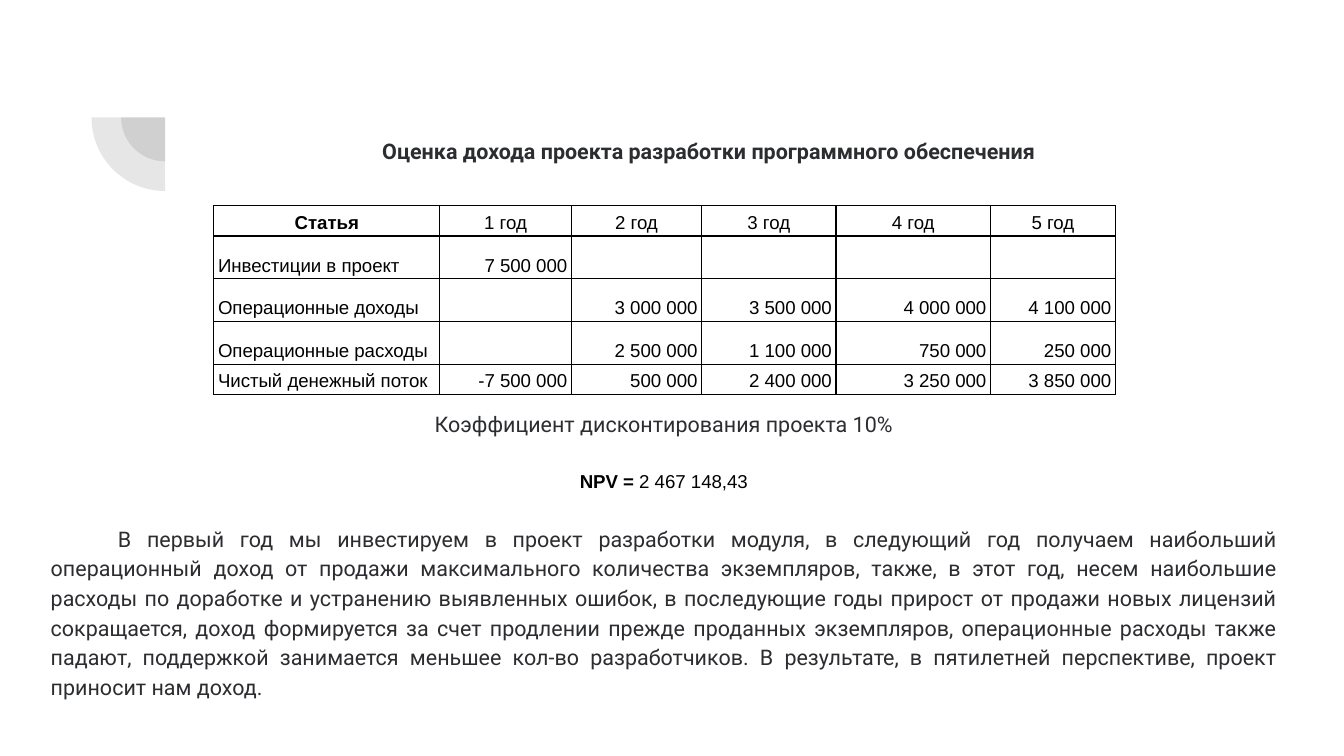
from lxml import etree
from pptx import Presentation
from pptx import util as u
from pptx.dml.color import RGBColor
from pptx.enum import shapes, text
from pptx.oxml.ns import qn

BLACK = RGBColor(0x00, 0x00, 0x00)
INK = RGBColor(0x2C, 0x2D, 0x30)
GREY = RGBColor(0x42, 0x42, 0x42)
LEFT, CENTER = text.PP_ALIGN.LEFT, text.PP_ALIGN.CENTER
RIGHT, JUSTIFY = text.PP_ALIGN.RIGHT, text.PP_ALIGN.JUSTIFY

TITLE = "Оценка дохода проекта разработки программного обеспечения"
RATE = "Коэффициент дисконтирования проекта 10%"
SUMMARY = (
    "В первый год мы инвестируем в проект разработки модуля, в следующий год получаем "
    "наибольший операционный доход от продажи максимального количества экземпляров, также, "
    "в этот год, несем наибольшие расходы по доработке и устранению выявленных ошибок, в "
    "последующие годы прирост от продажи новых лицензий сокращается, доход формируется за "
    "счет продлении прежде проданных экземпляров, операционные расходы также падают, "
    "поддержкой занимается меньшее кол-во разработчиков. В результате, в пятилетней "
    "перспективе, проект приносит нам доход."
)
CASH_FLOW = [
    ["Статья", "1 год", "2 год", "3 год", "4 год", "5 год"],
    ["Инвестиции в проект", "7 500 000", "", "", "", ""],
    ["Операционные доходы", "", "3 000 000", "3 500 000", "4 000 000", "4 100 000"],
    ["Операционные расходы", "", "2 500 000", "1 100 000", "750 000", "250 000"],
    ["Чистый денежный поток", "-7 500 000", "500 000", "2 400 000", "3 250 000", "3 850 000"],
]
COLUMN_WIDTHS = [4.27, 2.49, 2.46, 2.54, 2.92, 2.36]
ROW_HEIGHTS = [0.57, 0.81, 0.81, 0.81, 0.57]


def write(paragraph, content, font="Roboto", size=11.5, color=INK, bold=False,
          align=LEFT, spacing=1.15, before=0, indent=0):
    """Add one formatted run and set the format of its paragraph."""
    paragraph.alignment = align
    paragraph.line_spacing = spacing
    paragraph.space_before = u.Pt(before)
    if indent:
        paragraph._p.get_or_add_pPr().set("indent", str(u.Cm(indent)))
    run = paragraph.add_run()
    run.text = content
    run.font.name = font
    run.font.size = u.Pt(size)
    run.font.bold = bold
    run.font.color.rgb = color


class SlideBuilder:
    figures = {"font": "Arial", "size": 10, "color": BLACK}

    def __init__(self, slide):
        self.slide = slide

    def title(self, content, left, top, width, height):
        shape = self.slide.shapes.title
        shape.left, shape.top = u.Cm(left), u.Cm(top)
        shape.width, shape.height = u.Cm(width), u.Cm(height)
        frame = shape.text_frame
        frame.auto_size = text.MSO_AUTO_SIZE.NONE
        frame.vertical_anchor = text.MSO_ANCHOR.MIDDLE
        write(frame.paragraphs[0], content, bold=True, align=CENTER, spacing=1.0)

    def quarter(self, center_x, center_y, radius):
        shape = self.slide.shapes.add_shape(
            shapes.MSO_SHAPE.PIE, u.Cm(center_x - radius), u.Cm(center_y - radius),
            u.Cm(2 * radius), u.Cm(2 * radius))
        shape.rotation = 270
        shape.adjustments[0], shape.adjustments[1] = 108, 162
        shape.shadow.inherit = False
        shape.line.fill.background()
        shape.fill.solid()
        shape.fill.fore_color.rgb = GREY
        color = shape.fill._xPr.find(".//" + qn("a:srgbClr"))
        etree.SubElement(color, qn("a:alpha"), val="13000")

    def border(self, cell):
        properties = cell._tc.get_or_add_tcPr()
        for side in ("lnL", "lnR", "lnT", "lnB"):
            line = etree.SubElement(properties, qn("a:" + side), w=str(u.Pt(0.75)))
            fill = etree.SubElement(line, qn("a:solidFill"))
            etree.SubElement(fill, qn("a:srgbClr"), val=str(BLACK))

    def cell(self, cell, content, align, bold):
        self.border(cell)
        cell.fill.background()
        cell.vertical_anchor = text.MSO_ANCHOR.BOTTOM
        cell.margin_left = cell.margin_right = u.Cm(0.08)
        cell.margin_top = cell.margin_bottom = u.Cm(0.05)
        paragraph = cell.text_frame.paragraphs[0]
        if content:
            write(paragraph, content, align=align, bold=bold, **self.figures)
        else:
            # Keeps an empty cell from stretching its row
            etree.SubElement(paragraph._p, qn("a:endParaRPr"), sz="1000")

    def table(self, rows, left, top, widths, heights):
        table = self.slide.shapes.add_table(
            len(rows), len(widths), u.Cm(left), u.Cm(top),
            u.Cm(sum(widths)), u.Cm(sum(heights))).table
        table.first_row = table.horz_banding = False
        for column, width in zip(table.columns, widths):
            column.width = u.Cm(width)
        for r, (row, height) in enumerate(zip(rows, heights)):
            table.rows[r].height = u.Cm(height)
            for c, content in enumerate(row):
                align = CENTER if r == 0 else LEFT if c == 0 else RIGHT
                self.cell(table.cell(r, c), content, align, bold=r == c == 0)

    def conclusion(self, left, top, width, height):
        frame = self.slide.shapes.add_textbox(
            u.Cm(left), u.Cm(top), u.Cm(width), u.Cm(height)).text_frame
        frame.word_wrap = True
        frame.margin_left = frame.margin_right = u.Cm(0.25)
        frame.margin_top = frame.margin_bottom = u.Cm(0.25)
        write(frame.paragraphs[0], RATE, align=CENTER)
        value = frame.add_paragraph()
        write(value, "NPV = ", bold=True, align=CENTER, before=16, **self.figures)
        write(value, "2 467 148,43", align=CENTER, before=16, **self.figures)
        write(frame.add_paragraph(), SUMMARY, align=JUSTIFY, before=16, indent=1.27)


def main():
    presentation = Presentation()
    presentation.slide_width, presentation.slide_height = u.Cm(25.4), u.Cm(14.29)
    builder = SlideBuilder(presentation.slides.add_slide(presentation.slide_layouts[5]))

    # Corner decoration
    for radius in (0.83, 1.39):
        builder.quarter(3.12, 2.22, radius)

    # Title, cash flow and conclusion
    builder.title(TITLE, 3.63, 2.11, 19.53, 1.5)
    builder.table(CASH_FLOW, 4.04, 3.89, COLUMN_WIDTHS, ROW_HEIGHTS)
    builder.conclusion(0.71, 7.44, 23.67, 6.12)

    presentation.save("out.pptx")


if __name__ == "__main__":
    main()
